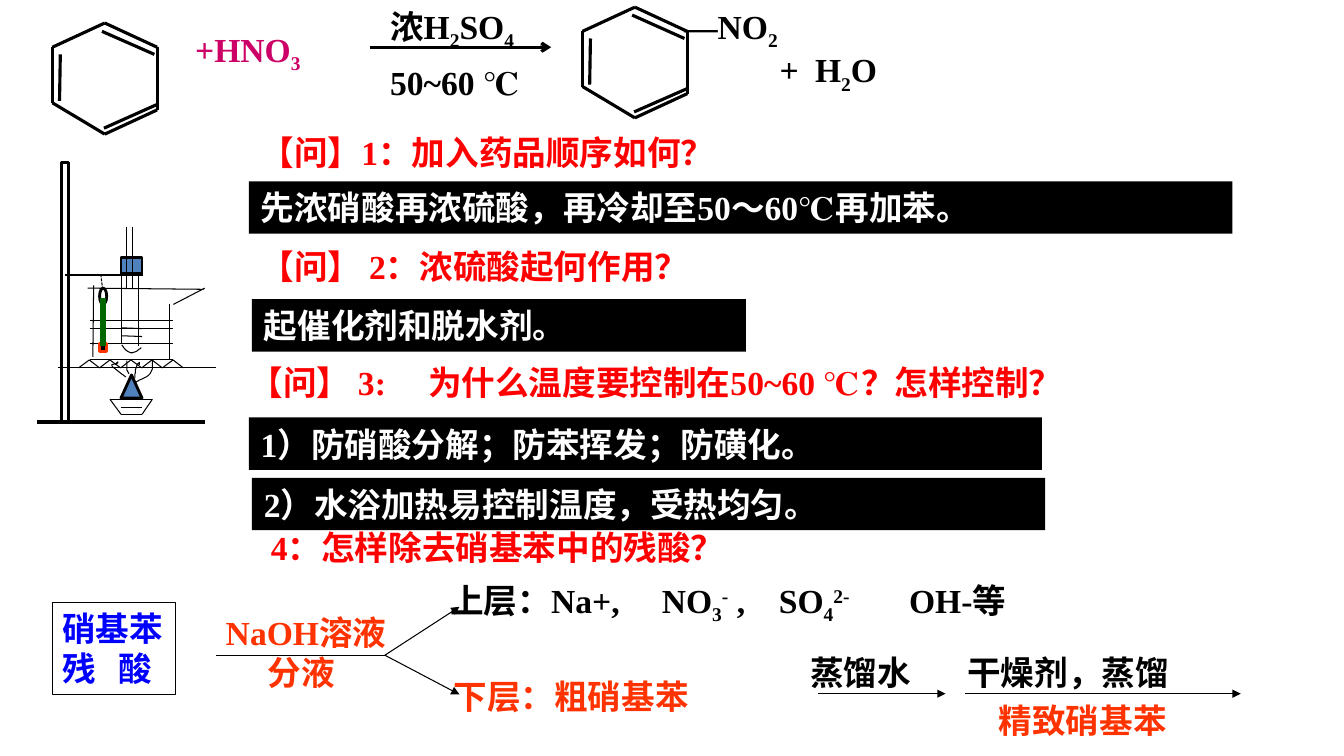
from lxml import etree
from pptx import Presentation
from pptx.dml.color import RGBColor
from pptx.enum.dml import MSO_LINE
from pptx.enum.shapes import MSO_CONNECTOR, MSO_SHAPE
from pptx.enum.text import MSO_ANCHOR, MSO_AUTO_SIZE, PP_ALIGN
from pptx.oxml.ns import qn
from pptx.util import Cm, Pt

STRAIGHT = MSO_CONNECTOR.STRAIGHT
RECTANGLE, OVAL, TRIANGLE = MSO_SHAPE.RECTANGLE, MSO_SHAPE.OVAL, MSO_SHAPE.ISOSCELES_TRIANGLE
DASH = MSO_LINE.SQUARE_DOT
TOP, LEFT, FIT = MSO_ANCHOR.TOP, PP_ALIGN.LEFT, MSO_AUTO_SIZE.SHAPE_TO_FIT_TEXT
BLACK, WHITE, RED, ORANGE = "000000", "FFFFFF", "FF0000", "FF3300"
BLUE, MAGENTA, GREEN, STEEL = "0000FF", "CC0066", "006600", "4F81BD"
SUB, SUP = -25000, 30000
FONT = {"name": "Times New Roman", "size": Pt(24), "bold": True}
WIDE = {"margin_left": Cm(0.3), "margin_right": Cm(0.3), "margin_top": Cm(0.15), "margin_bottom": Cm(0.15)}
NARROW = {"margin_left": Cm(0.25), "margin_right": Cm(0.25), "margin_top": Cm(0.13), "margin_bottom": Cm(0.13)}


def length(inches):
    """Turn a length in inches into a centimetre length."""
    return Cm(round(inches * 2.54, 2))


def colour(value):
    """Turn a hex string into a colour."""
    return RGBColor.from_string(value)


def apply_format(target, values):
    """Set each attribute named in a dict of format values."""
    for name, value in values.items():
        setattr(target, name, value)


def paint(shape, fill=None, outline=None, width=2):
    """Set the fill and outline of a shape, and drop its shadow."""
    shape.shadow.inherit = False
    if fill:
        shape.fill.solid()
        shape.fill.fore_color.rgb = colour(fill)
    else:
        shape.fill.background()
    if outline:
        shape.line.color.rgb = colour(outline)
        shape.line.width = Pt(width)
    else:
        shape.line.fill.background()


def add_preset(shapes, kind, box, **style):
    """Add a painted preset shape."""
    shape = shapes.add_shape(kind, *map(length, box))
    paint(shape, **style)
    return shape


def add_line(shapes, ends, width=0.75, tint=BLACK, head=None, dash=None):
    """Add a straight line, with an optional arrowhead or dash."""
    connector = shapes.add_connector(STRAIGHT, *map(length, ends))
    connector.line.color.rgb = colour(tint)
    connector.line.width = Pt(width)
    if dash:
        connector.line.dash_style = dash
    if head:
        etree.SubElement(connector.line._get_or_add_ln(), qn("a:tailEnd"), type=head)
    etree.SubElement(connector._element.spPr, qn("a:effectLst"))


def add_chain(shapes, points, width=0.75):
    """Join successive points with straight lines."""
    for start, end in zip(points, points[1:]):
        add_line(shapes, (*start, *end), width)


def curve_points(start, first, second, end, steps=8):
    """List the points along a cubic curve after its start."""
    points = []
    for step in range(1, steps + 1):
        t = step / steps
        weights = ((1 - t) ** 3, 3 * t * (1 - t) ** 2, 3 * t * t * (1 - t), t ** 3)
        points.append(tuple(sum(w * p[axis] for w, p in zip(weights, (start, first, second, end)))
                            for axis in (0, 1)))
    return points


def add_curve(shapes, start, *segments):
    """Add an open outline made of cubic curves and straight segments."""
    points = [start]
    for segment in segments:
        points += curve_points(points[-1], *segment) if len(segment) == 3 else segment
    vertices = [tuple(map(length, point)) for point in points]
    builder = shapes.build_freeform(*vertices[0])
    builder.add_line_segments(vertices[1:], close=False)
    paint(builder.convert_to_shape(), outline=BLACK, width=0.75)


def write_text(shape, paragraphs, tint, margins=WIDE, wrap=True, tabs=()):
    """Fill a shape with paragraphs of (text, baseline shift) runs."""
    frame = shape.text_frame
    apply_format(frame, {**margins, "word_wrap": wrap, "auto_size": FIT, "vertical_anchor": TOP})
    for index, runs in enumerate(paragraphs):
        paragraph = frame.add_paragraph() if index else frame.paragraphs[0]
        paragraph.alignment = LEFT
        if tabs:
            tab_list = etree.SubElement(paragraph._p.get_or_add_pPr(), qn("a:tabLst"))
            for position in tabs:
                etree.SubElement(tab_list, qn("a:tab"), pos=str(length(position)), algn="l")
        for text, shift in runs:
            run = paragraph.add_run()
            run.text = text
            apply_format(run.font, FONT)
            run.font.color.rgb = colour(tint)
            if shift:
                run._r.get_or_add_rPr().set("baseline", str(shift))


def add_label(shapes, box, runs, tint=BLACK, **layout):
    """Add a text box holding one paragraph."""
    runs = [(runs, 0)] if isinstance(runs, str) else runs
    write_text(shapes.add_textbox(*map(length, box)), [runs], tint, **layout)


def add_band(shapes, box, text, fill, tint, **layout):
    """Add a filled bar holding a question or an answer."""
    shape = add_preset(shapes, RECTANGLE, box, fill=fill)
    write_text(shape, [[(text, 0)]], tint, **layout)


def add_benzene(slide, left, top):
    """Draw a benzene ring with three inner bonds."""
    ring = slide.shapes.add_group_shape().shapes
    corners = [(0.52, 0), (0, 0.24), (0, 0.79), (0.52, 1.1), (1.04, 0.86), (1.04, 0.24), (0.52, 0)]
    add_chain(ring, [(left + x, top + y) for x, y in corners], 2.25)
    for x1, y1, x2, y2 in ((0.08, 0.31, 0.07, 0.77), (0.49, 0.08, 1.01, 0.31), (1.03, 0.81, 0.51, 1.04)):
        add_line(ring, (left + x1, top + y1, left + x2, top + y2), 2.25)


def add_apparatus(slide):
    """Draw the stand, water bath, test tube, thermometer and burner."""
    parts = slide.shapes.add_group_shape().shapes
    beaker = [(0.93, 2.83, 0.92, 3.54), (0.89, 3.57, 1.72, 3.57), (1.68, 3.02, 1.68, 3.57),
              (0.87, 2.86, 2.02, 2.87), (2.03, 2.86, 1.72, 3.02)]
    tube = [(1.2, 2.63, 1.2, 3.41), (1.37, 2.65, 1.37, 3.43)]
    for ends in beaker + tube:
        add_line(parts, ends)
    add_curve(parts, (1.21, 3.42), ((1.23, 3.46), (1.26, 3.49), (1.3, 3.5)),
              ((1.33, 3.5), (1.37, 3.48), (1.4, 3.45)))
    add_preset(parts, RECTANGLE, (1.2, 2.55, 0.21, 0.16), fill=STEEL, outline=BLACK)
    for x in (1.26, 1.31):
        add_line(parts, (x, 2.25, x, 2.87))
    for y in (3.25, 3.33):
        add_line(parts, (1.2, y, 1.41, y + 0.01))
    for y in (3.18, 3.26, 3.41):
        add_line(parts, (0.89, y, 1.72, y))
    add_preset(parts, OVAL, (0.99, 2.86, 0.07, 0.16), outline=BLACK)
    add_preset(parts, RECTANGLE, (0.99, 3.41, 0.07, 0.08), fill=BLACK, outline=ORANGE)
    add_line(parts, (0.57, 3.65, 2.14, 3.65))
    add_chain(parts, [(0.78 + 0.104 * i, 3.57 if i % 2 else 3.65) for i in range(11)])
    add_preset(parts, RECTANGLE, (0.61, 1.61, 0.07, 2.58), outline=BLACK)
    add_preset(parts, TRIANGLE, (1.2, 3.72, 0.21, 0.23), fill=STEEL, outline=BLACK)
    add_chain(parts, [(1.2, 4.11), (1.09, 3.96), (1.51, 3.96), (1.41, 4.11), (1.2, 4.11)])
    add_line(parts, (1.2, 4.04, 1.41, 4.04))
    add_curve(parts, (1.25, 3.74), ((1.19, 3.7), (1.13, 3.65), (1.11, 3.63)),
              ((1.1, 3.61), (1.15, 3.61), (1.16, 3.61)), ((1.17, 3.6), (1.17, 3.59), (1.17, 3.59)),
              [(1.14, 3.62)])
    add_curve(parts, (1.28, 3.71), ((1.25, 3.65), (1.26, 3.69), (1.26, 3.58)))
    add_curve(parts, (1.34, 3.75), ((1.34, 3.72), (1.34, 3.68), (1.35, 3.65)),
              ((1.39, 3.54), (1.38, 3.67), (1.38, 3.59)))
    add_curve(parts, (1.35, 3.79), ((1.44, 3.74), (1.49, 3.74), (1.51, 3.66)),
              ((1.51, 3.63), (1.51, 3.6), (1.51, 3.57)))
    add_line(parts, (0.37, 4.19, 2.03, 4.19), 3)
    add_line(parts, (0.65, 2.73, 1.42, 2.73), 1.5)
    add_line(parts, (1, 2.72, 1.02, 2.88), dash=DASH)
    add_line(parts, (1.02, 2.96, 1.02, 3.43), 4.5, GREEN)


def add_equation(slide):
    """Write the nitration equation."""
    shapes = slide.shapes
    add_benzene(slide, 0.52, 0.23)
    add_label(shapes, (1.82, 0.23, 1.98, 0.52), [("+HNO", 0), ("3", SUB)], MAGENTA)
    add_line(shapes, (3.67, 0.47, 5.47, 0.47), 2.25, head="arrow")
    add_label(shapes, (3.75, 0, 2.29, 0.52), [("浓H", 0), ("2", SUB), ("SO", 0), ("4", SUB)])
    add_label(shapes, (3.75, 0.55, 2.08, 0.52), "50~60 ℃")
    add_benzene(slide, 5.78, 0.07)
    add_label(shapes, (6.67, 0, 2.92, 0.52), [("—NO", 0), ("2", SUB)])
    add_label(shapes, (7.62, 0.43, 2.02, 0.52), [("+\tH", 0), ("2", SUB), ("O", 0)], tabs=(0.35,))


def add_questions(slide):
    """Write the questions and their answers."""
    shapes = slide.shapes
    add_band(shapes, (2.36, 3.53, 10.81, 0.52), "【问】 3:\t为什么温度要控制在50~60 ℃？怎样控制？", WHITE, RED, tabs=(1.77,))
    for left, top, width, text in ((2.47, 1.25, 6.67, "【问】1：加入药品顺序如何？"),
                                   (2.47, 2.38, 4.55, "【问】 2：浓硫酸起何作用？"),
                                   (2.57, 5.17, 6.65, "4：怎样除去硝基苯中的残酸？")):
        add_band(shapes, (left, top, width, 0.52), text, WHITE, RED)
    for left, top, width, text in ((2.47, 1.8, 9.76, "先浓硝酸再浓硫酸，再冷却至50～60℃再加苯。"),
                                   (2.5, 2.97, 4.9, "起催化剂和脱水剂。"),
                                   (2.47, 4.14, 7.87, "1）防硝酸分解；防苯挥发；防磺化。"),
                                   (2.5, 4.74, 7.87, "2）水浴加热易控制温度，受热均匀。")):
        add_band(shapes, (left, top, width, 0.52), text, BLACK, WHITE)


def add_separation(slide):
    """Draw the flow that purifies the nitrobenzene."""
    shapes = slide.shapes
    flow = shapes.add_group_shape().shapes
    crude = add_preset(flow, RECTANGLE, (0.52, 5.98, 1.22, 0.91), outline=BLACK, width=0.75)
    write_text(crude, [[("硝基苯", 0)], [("残\t酸", 0)]], BLUE, NARROW, False, (0.56,))
    add_line(flow, (2.14, 6.5, 3.82, 6.5))
    for y in (6.02, 6.89):
        add_line(flow, (3.82, 6.5, 4.56, y), head="triangle")
    add_label(flow, (2.14, 6.02, 1.81, 0.51), "NaOH溶液", ORANGE, margins=NARROW)
    add_label(flow, (2.56, 6.42, 0.88, 0.51), "分液", ORANGE, margins=NARROW, wrap=False)
    ions = [("上层：Na+,\tNO", 0), ("3", SUB), ("-", SUP), (" ,\tSO", 0), ("4", SUB), ("2-", SUP), ("\tOH-等", 0)]
    add_label(flow, (4.37, 5.7, 8.5, 0.51), ions, margins=NARROW, tabs=(2.1, 3.26, 4.55))
    add_label(flow, (4.4, 6.65, 2.57, 0.51), "下层：粗硝基苯", ORANGE, margins=NARROW, wrap=False)
    for start, end, left, width, text in ((8.12, 9.38, 7.92, 1.68, "蒸馏水"), (9.58, 12.31, 9.48, 3.12, "干燥剂，蒸馏")):
        add_line(shapes, (start, 6.88, end, 6.88), head="triangle")
        add_label(shapes, (left, 6.41, width, 0.52), text)
    add_label(shapes, (9.79, 6.88, 1.93, 0.52), "精致硝基苯", ORANGE, wrap=False)


def main():
    """Build and save the slide."""
    presentation = Presentation()
    apply_format(presentation, {"slide_width": Cm(33.87), "slide_height": Cm(19.05)})
    slide = presentation.slides.add_slide(presentation.slide_layouts[6])
    for build in (add_equation, add_apparatus, add_questions, add_separation):
        build(slide)
    presentation.save("out.pptx")


if __name__ == "__main__":
    main()
